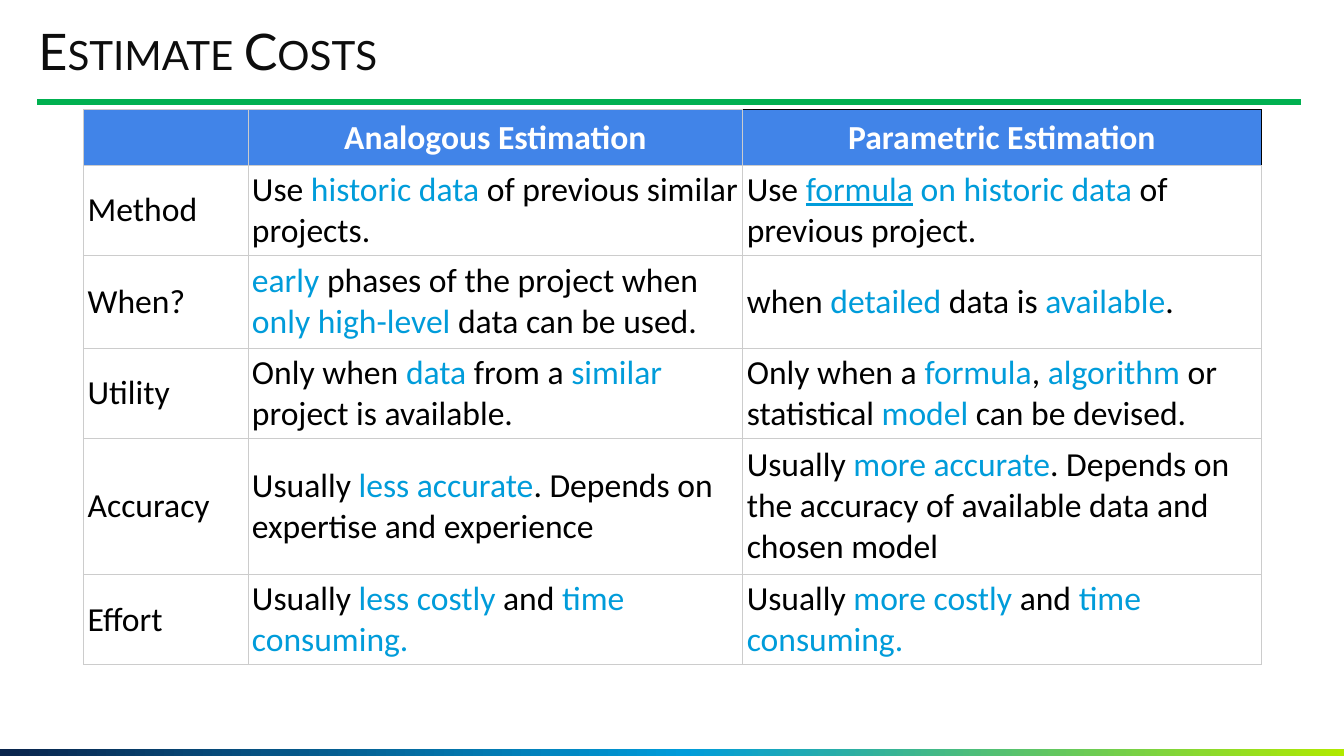
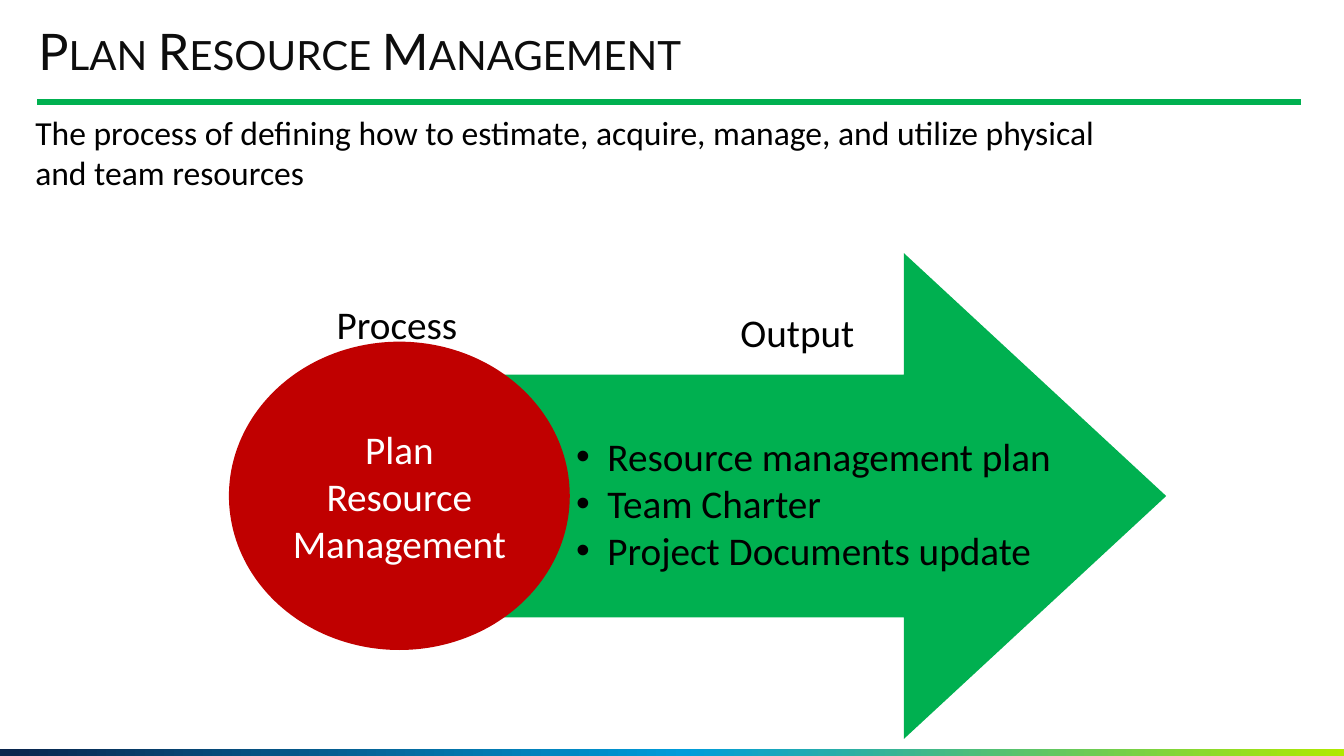
"""Build two project management slides: cost estimation and resource planning."""
from dataclasses import dataclass

from lxml import etree
from pptx import Presentation
from pptx import util as u
from pptx.dml.color import RGBColor
from pptx.enum import shapes, text
from pptx.oxml.ns import qn

BLACK = RGBColor(0x00, 0x00, 0x00)
WHITE = RGBColor(0xFF, 0xFF, 0xFF)
TITLE_INK = RGBColor(0x0D, 0x0D, 0x0D)
NAVY = RGBColor(0x09, 0x24, 0x4C)
CYAN = RGBColor(0x00, 0x9C, 0xDA)
LIME = RGBColor(0xB0, 0xE9, 0x00)
GREEN = RGBColor(0x00, 0xB0, 0x50)
RED = RGBColor(0xC0, 0x00, 0x00)
HEADER_BLUE = RGBColor(0x41, 0x84, 0xE8)
GRID_GREY = RGBColor(0xCC, 0xCC, 0xCC)

TITLE_FONT, BODY_FONT = "Lato", "Calibri"
BAR_STOPS = ((0, NAVY), (51, CYAN), (100, LIME))
CENTER = text.PP_ALIGN.CENTER


@dataclass(frozen=True)
class Box:
    left: float
    top: float
    width: float
    height: float

    def lengths(self) -> tuple:
        return u.Cm(self.left), u.Cm(self.top), u.Cm(self.width), u.Cm(self.height)


@dataclass(frozen=True)
class Key:
    text: str
    underline: bool = False


@dataclass(frozen=True)
class Style:
    size: float
    color: RGBColor = BLACK
    font: str = BODY_FONT
    bold: bool = False


@dataclass(frozen=True)
class Label:
    box: Box
    lines: tuple
    size: float = 28
    centered: bool = False
    bulleted: bool = False


HEADERS = ("", "Analogous Estimation", "Parametric Estimation")
COLUMN_WIDTHS = (4.14, 12.47, 13.06)
ROW_HEIGHTS = (1.4, 2.26, 2.35, 2.26, 3.45, 2.26)
COMPARISON = (
    (("Method",),
     ("Use ", Key("historic data "), "of previous similar projects."),
     ("Use ", Key("formula", True), " ", Key("on historic data "), "of previous project.")),
    (("When?",),
     (Key("early"), " phases of the project when ", Key("only high-level "), "data can be used."),
     ("when ", Key("detailed"), " data is ", Key("available"), ".")),
    (("Utility",),
     ("Only when ", Key("data"), " from a ", Key("similar"), " project is available."),
     ("Only when a ", Key("formula"), ", ", Key("algorithm"), " or statistical ",
      Key("model"), " can be devised.")),
    (("Accuracy",),
     ("Usually ", Key("less accurate"), ". Depends on expertise and experience"),
     ("Usually ", Key("more accurate"),
      ". Depends on the accuracy of available data and chosen model")),
    (("Effort",),
     ("Usually ", Key("less costly "), "and ", Key("time consuming.")),
     ("Usually ", Key("more costly "), "and ", Key("time consuming."))),
)

DEFINITION = Label(
    Box(0.64, 2.69, 31.75, 2.31),
    ("The process of defining how to estimate, acquire, manage, and utilize physical",
     "and team resources"),
    size=24)
DIAGRAM_LABELS = (
    Label(Box(7.82, 7.44, 4.37, 1.45), ("Process",), centered=True),
    Label(Box(14.27, 10.77, 14.17, 3.84),
          ("Resource management plan", "Team Charter", "Project Documents update"),
          bulleted=True),
    Label(Box(17.91, 7.65, 4.37, 1.45), ("Output",), centered=True),
)


def style_run(run, style: Style) -> None:
    run.font.name = style.font
    run.font.size = u.Pt(style.size)
    run.font.bold = style.bold
    run.font.color.rgb = style.color


def style_frame(frame, style: Style, centered: bool = False) -> None:
    for paragraph in frame.paragraphs:
        if centered:
            paragraph.alignment = CENTER
        for run in paragraph.runs:
            style_run(run, style)


def add_color(parent, color: RGBColor) -> None:
    etree.SubElement(parent, qn("a:srgbClr"), val=str(color))


def add_bullet(paragraph) -> None:
    properties = paragraph._p.get_or_add_pPr()
    indent = u.Cm(0.79)
    properties.set("marL", str(indent))
    properties.set("indent", str(-indent))
    etree.SubElement(properties, qn("a:buFont"), typeface="Arial")
    etree.SubElement(properties, qn("a:buChar"), char="•")


def add_preset(parent, preset, box: Box, color: RGBColor):
    shape = parent.add_shape(preset, *box.lengths())
    shape.shadow.inherit = False
    shape.fill.solid()
    shape.fill.fore_color.rgb = color
    shape.line.fill.background()
    return shape


def add_label(parent, label: Label) -> None:
    frame = parent.add_textbox(*label.box.lengths()).text_frame
    frame.word_wrap = True
    frame.auto_size = text.MSO_AUTO_SIZE.SHAPE_TO_FIT_TEXT
    frame.text = "\n".join(label.lines)
    if label.bulleted:
        for paragraph in frame.paragraphs:
            add_bullet(paragraph)
    style_frame(frame, Style(label.size), label.centered)


def add_footer_bar(slide) -> None:
    bar = add_preset(slide.shapes, shapes.MSO_SHAPE.RECTANGLE,
                     Box(0, 18.87, 33.87, 0.18), NAVY)
    bar.fill.gradient()
    bar.fill.gradient_angle = 0
    stops = bar._element.spPr.find(qn("a:gradFill")).find(qn("a:gsLst"))
    stops.clear()
    for percent, color in BAR_STOPS:
        add_color(etree.SubElement(stops, qn("a:gs"), pos=str(percent * 1000)), color)


def add_title_rule(slide) -> None:
    height = u.Cm(2.57)
    rule = slide.shapes.add_connector(
        shapes.MSO_CONNECTOR.STRAIGHT, u.Cm(0.94), height, u.Cm(32.79), height)
    rule.line.color.rgb = GREEN
    rule.line.width = u.Pt(4.5)
    etree.SubElement(rule._element.spPr, qn("a:effectLst"))


def add_title(slide, title: str) -> None:
    frame = slide.shapes.add_textbox(*Box(0.97, 0.69, 28.42, 1.4).lengths()).text_frame
    frame.word_wrap = True
    frame.margin_left = frame.margin_right = frame.margin_top = frame.margin_bottom = 0
    frame.text = title
    paragraph = frame.paragraphs[0]
    paragraph.line_spacing = 0.9
    style_frame(frame, Style(36, TITLE_INK, TITLE_FONT))
    paragraph.runs[0].font._element.set("cap", "small")


def add_titled_slide(presentation, title: str):
    slide = presentation.slides.add_slide(presentation.slide_layouts[6])
    add_footer_bar(slide)
    add_title_rule(slide)
    add_title(slide, title)
    return slide


def set_borders(cell, outer: RGBColor = GRID_GREY) -> None:
    properties = cell._tc.get_or_add_tcPr()
    for side, color in (("L", GRID_GREY), ("R", outer), ("T", outer), ("B", GRID_GREY)):
        line = etree.SubElement(properties, qn(f"a:ln{side}"), w=str(u.Pt(0.75)))
        add_color(etree.SubElement(line, qn("a:solidFill")), color)


def format_cell(cell, fill: RGBColor, margin: float, outer: RGBColor = GRID_GREY) -> None:
    set_borders(cell, outer)
    cell.fill.solid()
    cell.fill.fore_color.rgb = fill
    cell.vertical_anchor = text.MSO_ANCHOR.MIDDLE
    cell.margin_left = cell.margin_right = u.Cm(margin)
    cell.margin_top = cell.margin_bottom = u.Cm(margin)


def write_pieces(cell, pieces: tuple) -> None:
    paragraph = cell.text_frame.paragraphs[0]
    for piece in pieces:
        run = paragraph.add_run()
        if isinstance(piece, Key):
            run.text = piece.text
            style_run(run, Style(24, CYAN))
            run.font.underline = piece.underline
        else:
            run.text = piece
            style_run(run, Style(24))


def add_comparison_table(slide) -> None:
    box = Box(2.11, 2.77, sum(COLUMN_WIDTHS), sum(ROW_HEIGHTS))
    table = slide.shapes.add_table(
        len(ROW_HEIGHTS), len(COLUMN_WIDTHS), *box.lengths()).table
    table.first_row = table.horz_banding = False
    for column, width in zip(table.columns, COLUMN_WIDTHS):
        column.width = u.Cm(width)
    for row, height in zip(table.rows, ROW_HEIGHTS):
        row.height = u.Cm(height)
    for index, header in enumerate(HEADERS):
        cell = table.cell(0, index)
        is_last = index == len(HEADERS) - 1
        format_cell(cell, HEADER_BLUE, 0.15, BLACK if is_last else GRID_GREY)
        cell.text_frame.text = header
        style_frame(cell.text_frame, Style(24, WHITE, bold=True), centered=True)
    for row_index, row_texts in enumerate(COMPARISON, start=1):
        for column_index, pieces in enumerate(row_texts):
            cell = table.cell(row_index, column_index)
            format_cell(cell, WHITE, 0.1)
            write_pieces(cell, pieces)


def add_process_diagram(slide) -> None:
    group = slide.shapes.add_group_shape().shapes
    arrow = add_preset(group, shapes.MSO_SHAPE.RIGHT_ARROW,
                       Box(12.22, 6.38, 17.17, 12.24), GREEN)
    arrow.adjustments[0] = 0.5
    arrow.adjustments[1] = 0.54
    process = add_preset(group, shapes.MSO_SHAPE.OVAL, Box(5.77, 8.61, 8.59, 7.77), RED)
    frame = process.text_frame
    frame.word_wrap = True
    frame.vertical_anchor = text.MSO_ANCHOR.MIDDLE
    frame.text = "Plan Resource Management"
    style_frame(frame, Style(28, WHITE), centered=True)
    for label in DIAGRAM_LABELS:
        add_label(group, label)


def main() -> None:
    presentation = Presentation()
    presentation.slide_width = u.Cm(33.87)
    presentation.slide_height = u.Cm(19.05)

    costs = add_titled_slide(presentation, "Estimate Costs")
    add_comparison_table(costs)

    resources = add_titled_slide(presentation, "Plan Resource Management")
    add_label(resources.shapes, DEFINITION)
    add_process_diagram(resources)

    presentation.save("out.pptx")


if __name__ == "__main__":
    main()
